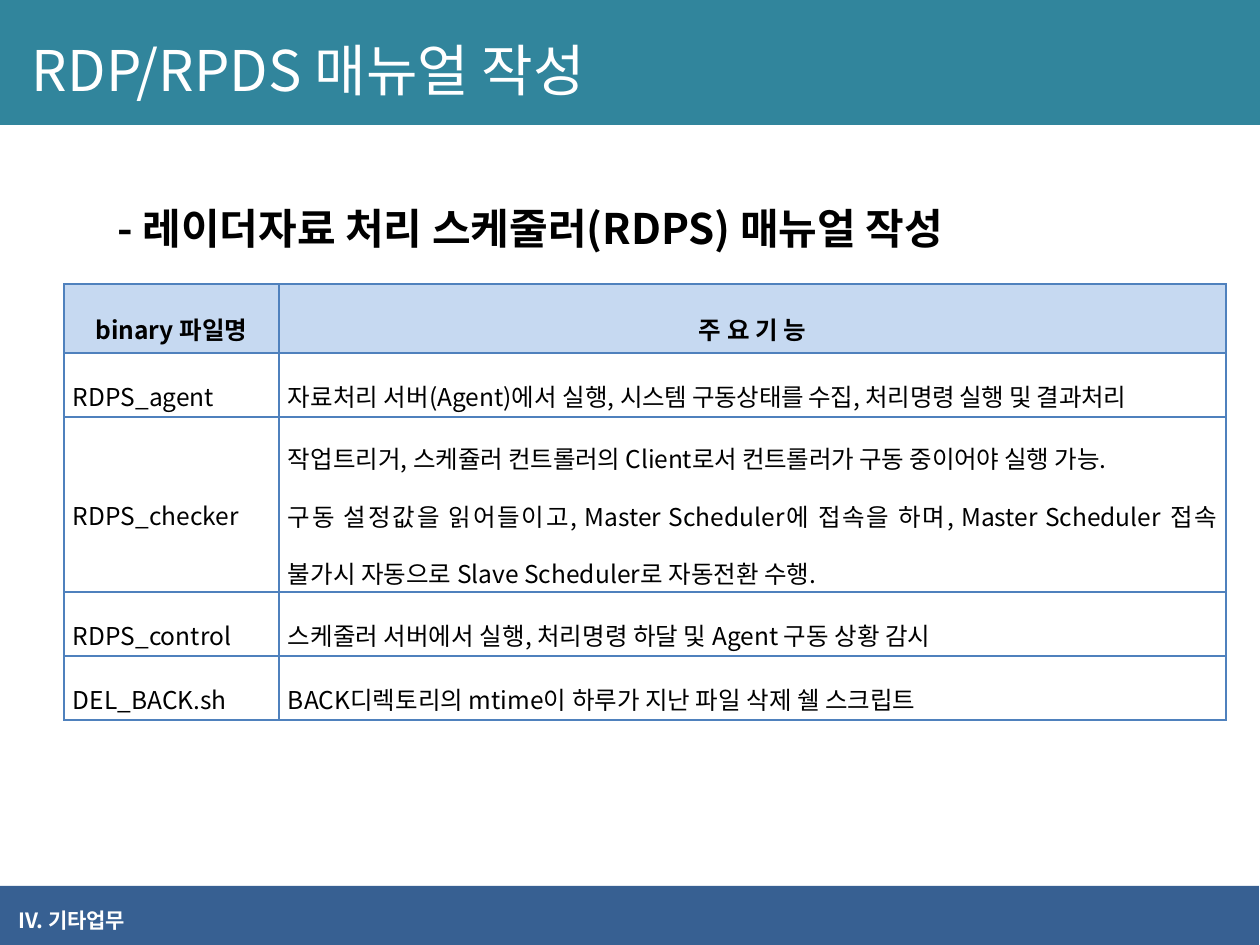
"""Builds a slide with a table of the RDPS binaries and their functions."""
from lxml import etree
from pptx import Presentation
from pptx.dml.color import RGBColor
from pptx.enum.shapes import MSO_SHAPE
from pptx.enum.text import MSO_ANCHOR, PP_ALIGN
from pptx.oxml.ns import qn
from pptx.util import Emu, Pt

RECTANGLE = MSO_SHAPE.RECTANGLE
MIDDLE = MSO_ANCHOR.MIDDLE
LEFT, CENTER, JUSTIFY = PP_ALIGN.LEFT, PP_ALIGN.CENTER, PP_ALIGN.JUSTIFY
FONT = "Noto Sans CJK KR"
BLACK, WHITE = "000000", "FFFFFF"
TEAL, NAVY = "31859C", "376092"
HEADER_FILL, BORDER = "C6D9F1", "4F81BD"
COLUMN_WIDTHS = [215, 947]
ROW_HEIGHTS = [69, 64, 175, 64, 64]
HEADERS = ["binary 파일명", "주 요 기 능"]
PROGRAMS = [
    ("RDPS_agent", [[("자료처리 서버(Agent)에서 실행, ", 0),
                     ("시스템 구동상태를 수집, 처리명령 실행 및 결과처리", -20)]]),
    ("RDPS_checker", [
        [("작업트리거, ", 0),
         ("스케쥴러 컨트롤러의 Client로서 컨트롤러가 구동 중이어야 실행 가능.", -10)],
        [("구동 설정값을 읽어들이고, Master Scheduler에 접속을 하며, "
          "Master Scheduler 접속 불가시 자동으로 Slave Scheduler로 자동전환 수행.", 0)]]),
    ("RDPS_control", [[("스케줄러 서버에서 실행, 처리명령 하달 및 Agent 구동 상황 감시", 0)]]),
    ("DEL_BACK.sh", [[("BACK디렉토리의 mtime이 하루가 지난 파일 삭제 쉘 스크립트", 0)]]),
]


def px(length):
    """Turn pixels at 126 to the inch into EMU."""
    return Emu(round(length * 914400 / 126))


def color(value):
    """Turn a hex string into a colour."""
    return RGBColor.from_string(value)


def add_span(para, text, size, ink, bold=False, spacing=0):
    """Add one run of text to a paragraph."""
    span = para.add_run()
    span.text = text
    font = span.font
    font.name, font.size, font.bold = FONT, Pt(size), bold
    font.color.rgb = color(ink)
    properties = span._r.get_or_add_rPr()
    etree.SubElement(properties, qn("a:ea"), typeface=FONT)
    if spacing:
        properties.set("spc", str(spacing))


def format_paragraph(para, line_spacing, align=LEFT):
    """Set line spacing and alignment of a paragraph."""
    para.line_spacing = line_spacing
    para.alignment = align


def add_band(page, left, top, width, height, fill):
    """Add a plain filled rectangle."""
    band = page.shapes.add_shape(RECTANGLE, px(left), px(top), px(width), px(height))
    band.shadow.inherit = False
    band.fill.solid()
    band.fill.fore_color.rgb = color(fill)
    band.line.fill.background()
    return band


def add_label(page, left, top, width, height, text, size, ink, line_spacing):
    """Add one line of bold text."""
    box = page.shapes.add_textbox(px(left), px(top), px(width), px(height))
    box.text_frame.word_wrap = False
    para = box.text_frame.paragraphs[0]
    format_paragraph(para, line_spacing)
    add_span(para, text, size, ink, bold=True)


def add_title(page, text):
    """Add the title band with its text."""
    band = add_band(page, 0, 0, 1260, 125, TEAL)
    frame = band.text_frame
    frame.word_wrap = False
    frame.vertical_anchor = MIDDLE
    frame.margin_left = px(32)
    para = frame.paragraphs[0]
    format_paragraph(para, 1.2)
    add_span(para, text, 32, WHITE)


def add_borders(cell):
    """Draw a thin line on each side of a cell."""
    properties = cell._tc.get_or_add_tcPr()
    for side in ("lnL", "lnR", "lnT", "lnB"):
        line = etree.SubElement(properties, qn(f"a:{side}"), w=str(Pt(1)))
        fill = etree.SubElement(line, qn("a:solidFill"))
        etree.SubElement(fill, qn("a:srgbClr"), val=BORDER)


def fill_cell(cell, paragraphs, align, bold=False, fill=None):
    """Write paragraphs of (text, spacing) pairs into a cell."""
    cell.vertical_anchor = MIDDLE
    cell.margin_left = cell.margin_right = px(9)
    cell.margin_top = cell.margin_bottom = px(2)
    add_borders(cell)
    if fill:
        cell.fill.solid()
        cell.fill.fore_color.rgb = color(fill)
    else:
        cell.fill.background()
    frame = cell.text_frame
    for index, spans in enumerate(paragraphs):
        para = frame.add_paragraph() if index else frame.paragraphs[0]
        format_paragraph(para, 1.6, align)
        for text, spacing in spans:
            add_span(para, text, 14, BLACK, bold, spacing)


def add_program_table(page):
    """Add the table of binaries and functions."""
    table = page.shapes.add_table(
        len(ROW_HEIGHTS), len(COLUMN_WIDTHS), px(64), px(284),
        px(sum(COLUMN_WIDTHS)), px(sum(ROW_HEIGHTS))).table
    for column, width in zip(table.columns, COLUMN_WIDTHS):
        column.width = px(width)
    for row, height in zip(table.rows, ROW_HEIGHTS):
        row.height = px(height)
    for index, header in enumerate(HEADERS):
        fill_cell(table.cell(0, index), [[(header, 0)]], CENTER, True, HEADER_FILL)
    for index, (name, functions) in enumerate(PROGRAMS, 1):
        fill_cell(table.cell(index, 0), [[(name, 0)]], JUSTIFY)
        fill_cell(table.cell(index, 1), functions, JUSTIFY)


def main():
    """Build and save the slide."""
    deck = Presentation()
    deck.slide_width, deck.slide_height = px(1260), px(945)
    page = deck.slides.add_slide(deck.slide_layouts[6])
    add_band(page, -1, 886, 1260, 63, NAVY)
    add_title(page, "RDP/RPDS 매뉴얼 작성")
    add_label(page, 105, 171, 936, 89,
              "- 레이더자료 처리 스케줄러(RDPS) 매뉴얼 작성", 24, BLACK, 1.5)
    add_program_table(page)
    add_label(page, 6, 901, 141, 38, "IV. 기타업무", 12, WHITE, 1.0)
    deck.save("out.pptx")


if __name__ == "__main__":
    main()
